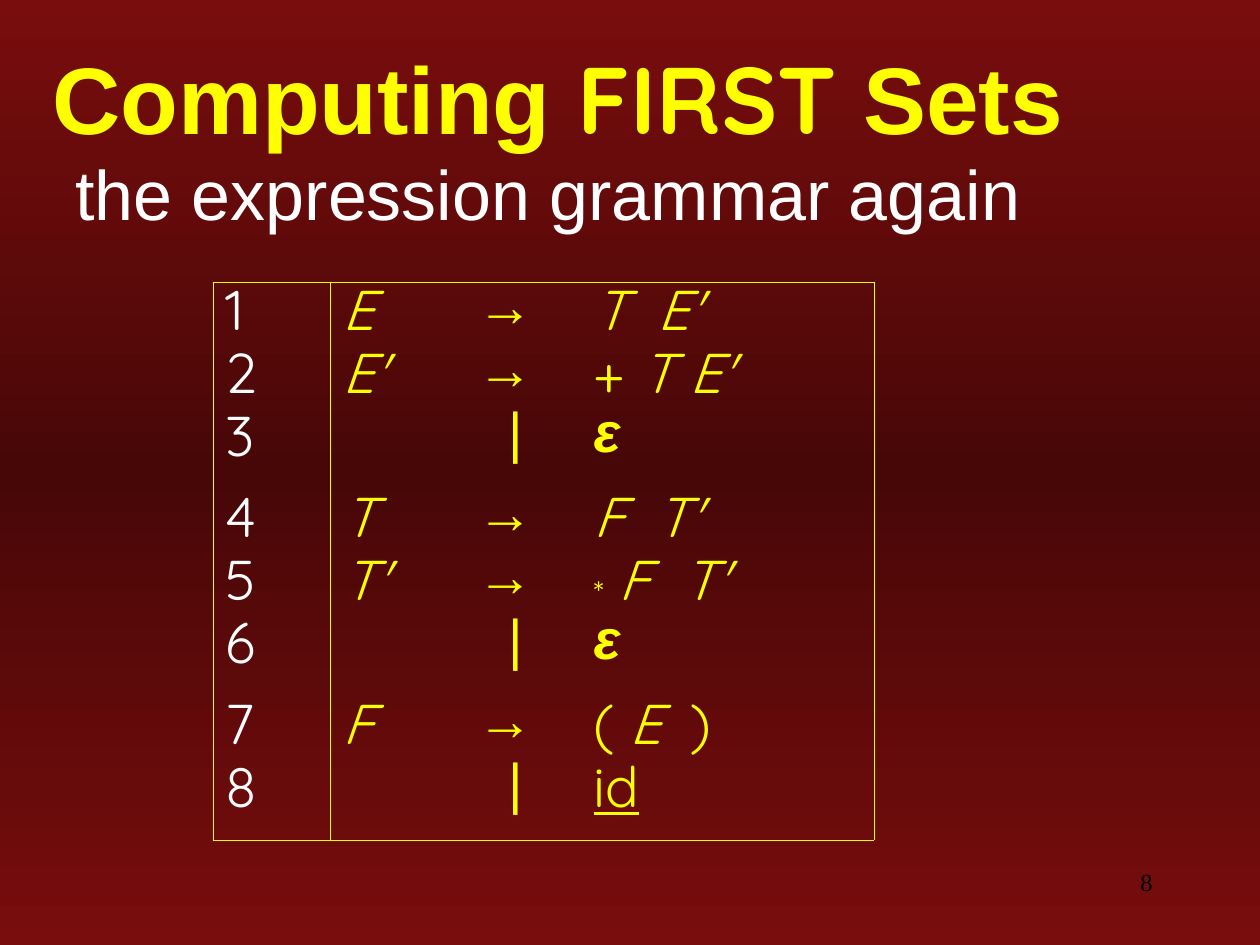
"""Build a slide that lists the expression grammar for FIRST sets."""
from copy import deepcopy

from lxml.etree import SubElement
from pptx import Presentation
from pptx.dml.color import RGBColor
from pptx.enum.text import MSO_ANCHOR as Anchor, PP_ALIGN as Align
from pptx.oxml.ns import qn
from pptx.util import Pt

SCALE = 914400 / 126
YELLOW = RGBColor(0xFF, 0xFF, 0x00)
WHITE = RGBColor(0xFF, 0xFF, 0xFF)
BLACK = RGBColor(0x00, 0x00, 0x00)
RED = RGBColor(0x79, 0x0D, 0x0D)
DARK_RED = RGBColor(0x48, 0x07, 0x07)


def px(length):
    return round(length * SCALE)


def write(para, spans, size, face, color):
    para.font.size = Pt(size)
    for text, style, *other_face in spans:
        span = para.add_run()
        span.text = text
        font = span.font
        font.size = Pt(size)
        font.name = other_face[0] if other_face else face
        font.color.rgb = color
        font.bold = "b" in style
        font.italic = "i" in style
        font.underline = "u" in style
        if "s" in style:
            span._r.get_or_add_rPr().set("baseline", "-8000")


deck = Presentation()
deck.slide_width, deck.slide_height = px(1260), px(945)
page = deck.slides.add_slide(deck.slide_layouts[6])

backdrop = page.background.fill
backdrop.gradient()
backdrop.gradient_angle = 270
first_stop = backdrop.gradient_stops[0]._gs
first_stop.addnext(deepcopy(first_stop))
for stop, (position, color) in zip(
    backdrop.gradient_stops, [(0, RED), (0.5, DARK_RED), (1, RED)]
):
    stop.position = position
    stop.color.rgb = color

TITLE = [("Computing", "b"), (" FIRST", "b", "Quicksand"), (" Sets", "b")]
SUBTITLE = [("the expression grammar again", "")]
TEXTS = [
    (40, 44, 1260, 105, TITLE, 54, "Arial", YELLOW, Anchor.MIDDLE, Align.LEFT, 1),
    (63, 161, 1225, 135, SUBTITLE, 40, "Arial", WHITE, Anchor.TOP, Align.LEFT, 0.8),
    (903, 861, 262, 63, [("8", "")], 14, "Times New Roman", BLACK, Anchor.TOP, Align.RIGHT, 1),
]
for left, top, width, height, spans, size, face, color, anchor, align, spacing in TEXTS:
    box = page.shapes.add_textbox(px(left), px(top), px(width), px(height))
    frame = box.text_frame
    frame.word_wrap = True
    frame.vertical_anchor = anchor
    para = frame.paragraphs[0]
    para.alignment = align
    para.line_spacing = spacing
    write(para, spans, size, face, color)
    if spans is TITLE:
        for span in para.runs:
            effects = SubElement(span._r.rPr, qn("a:effectLst"))
            shadow = SubElement(
                effects, qn("a:outerShdw"), dist="25400", dir="2700000", algn="tl"
            )
            SubElement(shadow, qn("a:srgbClr"), val="C0C0C0")
            span._r.rPr.find(qn("a:solidFill")).addnext(effects)

EPSILON = [("ε", "bi", "Arial")]
RULES = [
    ("E", [("T\tE'", "i")], 64),
    ("E'", [("+", ""), (" T E'", "i")], 0),
    ("", EPSILON, 0),
    ("T", [("F\tT'", "i")], 62),
    ("T'", [("*", "s"), (" F\tT'", "i")], 89),
    ("", EPSILON, 0),
    ("F", [("( ", ""), ("E", "i"), ("\t)", "")], 97),
    ("", [("id", "u")], 0),
]
COLUMNS = [117, 135, 116, 293]
ROWS = [63, 63, 81, 63, 63, 81, 63, 81]

grid = page.shapes.add_table(
    len(ROWS), len(COLUMNS), px(213), px(282), px(sum(COLUMNS)), px(sum(ROWS))
).table
grid.first_row = grid.horz_banding = False
for column, width in zip(grid.columns, COLUMNS):
    column.width = px(width)
for row, height in zip(grid.rows, ROWS):
    row.height = px(height)

for number, (symbol, body, tab) in enumerate(RULES):
    sign = [("→", "b", "Arial")] if symbol else [("|", "", "Arial")]
    contents = [[(str(number + 1), "")], [(symbol, "i")] if symbol else [], sign, body]
    for index, spans in enumerate(contents):
        cell = grid.cell(number, index)
        para = cell.text_frame.paragraphs[0]
        para.line_spacing = 0.75
        properties = para._p.get_or_add_pPr()
        if index == 2 and not symbol:
            properties.set("marL", str(px(31)))
        if index == 3 and tab:
            tabs = SubElement(properties, qn("a:tabLst"))
            SubElement(tabs, qn("a:tab"), pos=str(px(tab)), algn="l")
        write(para, spans, 32, "Quicksand", YELLOW if index else WHITE)
        edges = {
            "L": index in (0, 1),
            "R": index in (0, 3),
            "T": number == 0,
            "B": number == len(RULES) - 1,
        }
        for side, drawn in edges.items():
            line = SubElement(cell._tc.get_or_add_tcPr(), qn(f"a:ln{side}"), w=str(Pt(0.45)))
            if drawn:
                fill = SubElement(line, qn("a:solidFill"))
                SubElement(fill, qn("a:srgbClr"), val=str(YELLOW))
            else:
                SubElement(line, qn("a:noFill"))
        cell.fill.background()

deck.save("out.pptx")
